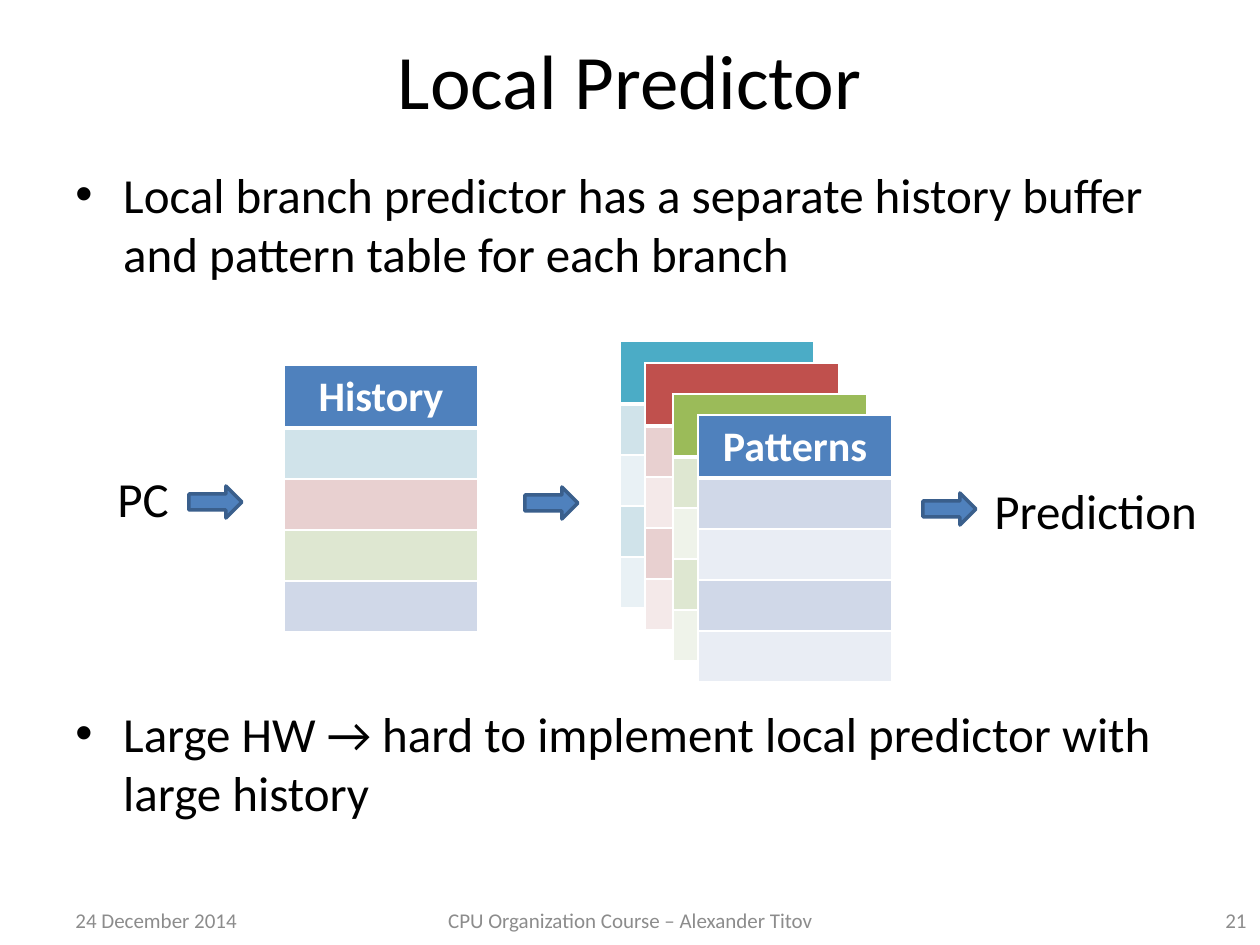
from lxml import etree
from pptx import Presentation
from pptx import util as u
from pptx.dml.color import RGBColor
from pptx.enum import shapes, text
from pptx.oxml import ns

PX = 914400 / 126
FONT = "Calibri"
BLACK, WHITE, GREY = "000000", "FFFFFF", "8C8C8C"
BLUE, DARK_BLUE = "4F81BD", "3A5F8C"
TABLE_WIDTH, HEADER_HEIGHT, ROW_HEIGHT = 194, 63, 51
LEFT, CENTER, RIGHT = (text.PP_ALIGN.LEFT, text.PP_ALIGN.CENTER,
                       text.PP_ALIGN.RIGHT)

# Pattern tables from back to front: left, top, header fill, row fills, label
PATTERN_TABLES = [
    (620, 341, "4BACC6", ("D0E3EA", "E9F1F5"), ""),
    (645, 363, "C0504D", ("E8D0D0", "F4E9E9"), ""),
    (673, 394, "9BBB59", ("DEE7D1", "EFF3EA"), ""),
    (698, 415, BLUE, ("D0D8E8", "E9EDF4"), "Patterns"),
]


def px(*lengths):
    return [u.Emu(round(length * PX)) for length in lengths]


def color(value):
    return RGBColor.from_string(value)


def style(paragraph, size, ink=BLACK, align=LEFT, bold=False):
    paragraph.alignment = align
    font = paragraph.font
    font.name, font.size, font.bold = FONT, u.Pt(size), bold
    font.color.rgb = color(ink)


def add_label(slide, box, words, size=28, ink=BLACK, align=LEFT,
              anchor=text.MSO_ANCHOR.TOP):
    frame = slide.shapes.add_textbox(*px(*box)).text_frame
    frame.word_wrap = True
    frame.vertical_anchor = anchor
    frame.text = words
    style(frame.paragraphs[0], size, ink, align)


def add_bullets(slide, box, items, gap):
    frame = slide.shapes.add_textbox(*px(*box)).text_frame
    frame.word_wrap = True
    for index, words in enumerate(items):
        paragraph = frame.add_paragraph() if index else frame.paragraphs[0]
        paragraph.text = words
        if index:
            paragraph.space_before = u.Pt(gap)
        properties = paragraph._p.get_or_add_pPr()
        properties.set("marL", str(u.Inches(0.38)))
        properties.set("indent", str(u.Inches(-0.38)))
        etree.SubElement(properties, ns.qn("a:buFont"), typeface="Arial")
        etree.SubElement(properties, ns.qn("a:buChar"), char="•")
        style(paragraph, 28)


def add_borders(cell, top, bottom):
    properties = cell._tc.get_or_add_tcPr()
    for side, points in (("L", 1), ("R", 1), ("T", top), ("B", bottom)):
        line = etree.SubElement(properties, ns.qn(f"a:ln{side}"),
                                w=str(u.Pt(points)))
        fill = etree.SubElement(line, ns.qn("a:solidFill"))
        etree.SubElement(fill, ns.qn("a:srgbClr"), val=WHITE)


def add_buffer(slide, left, top, header_fill, row_fills, label):
    fills = [header_fill, *row_fills]
    height = HEADER_HEIGHT + ROW_HEIGHT * len(row_fills)
    table = slide.shapes.add_table(
        len(fills), 1, *px(left, top, TABLE_WIDTH, height)).table
    for index, fill in enumerate(fills):
        header = index == 0
        table.rows[index].height = px(HEADER_HEIGHT if header else ROW_HEIGHT)[0]
        cell = table.cell(index, 0)
        # A thick rule parts the header from the rows
        add_borders(cell, 3 if index == 1 else 1, 3 if header else 1)
        cell.fill.solid()
        cell.fill.fore_color.rgb = color(fill)
        if header and label:
            cell.text = label
            style(cell.text_frame.paragraphs[0], 24, WHITE, CENTER, True)


def add_arrow(slide, left, top):
    arrow = slide.shapes.add_shape(shapes.MSO_SHAPE.RIGHT_ARROW,
                                   *px(left, top, 53, 32))
    arrow.shadow.inherit = False
    arrow.fill.solid()
    arrow.fill.fore_color.rgb = color(BLUE)
    arrow.line.color.rgb = color(DARK_BLUE)
    arrow.line.width = u.Pt(2)


def set_title(slide, box, words):
    title = slide.shapes.title
    title.left, title.top, title.width, title.height = px(*box)
    title.text_frame.text = words
    title.text_frame.vertical_anchor = text.MSO_ANCHOR.MIDDLE
    style(title.text_frame.paragraphs[0], 44, align=CENTER)


def main():
    deck = Presentation()
    deck.slide_width, deck.slide_height = px(1260, 945)
    slide = deck.slides.add_slide(deck.slide_layouts[5])

    # Title and statements
    set_title(slide, (63, 0, 1134, 158), "Local Predictor")
    add_bullets(slide, (63, 158, 1134, 687), [
        "Local branch predictor has a separate history buffer "
        "and pattern table for each branch",
        "Large HW → hard to implement local predictor with large history",
    ], gap=241)

    # Footer
    for left, width, words, align in (
            (63, 294, "24 December 2014", LEFT),
            (431, 399, "CPU Organization Course – Alexander Titov", CENTER),
            (965, 294, "21", RIGHT)):
        add_label(slide, (left, 895, width, 50), words, 12, GREY, align,
                  text.MSO_ANCHOR.MIDDLE)

    # History buffer: one row per pattern table
    add_buffer(slide, 284, 365, BLUE,
               [fills[0] for _, _, _, fills, _ in PATTERN_TABLES], "History")

    # Stack of pattern tables
    for left, top, header_fill, fills, label in PATTERN_TABLES:
        add_buffer(slide, left, top, header_fill, fills * 2, label)

    # Flow from input to output
    for left, top in ((189, 486), (525, 487), (923, 493)):
        add_arrow(slide, left, top)
    add_label(slide, (105, 462, 105, 72), "PC")
    add_label(slide, (982, 474, 278, 72), "Prediction")

    deck.save("out.pptx")


if __name__ == "__main__":
    main()
